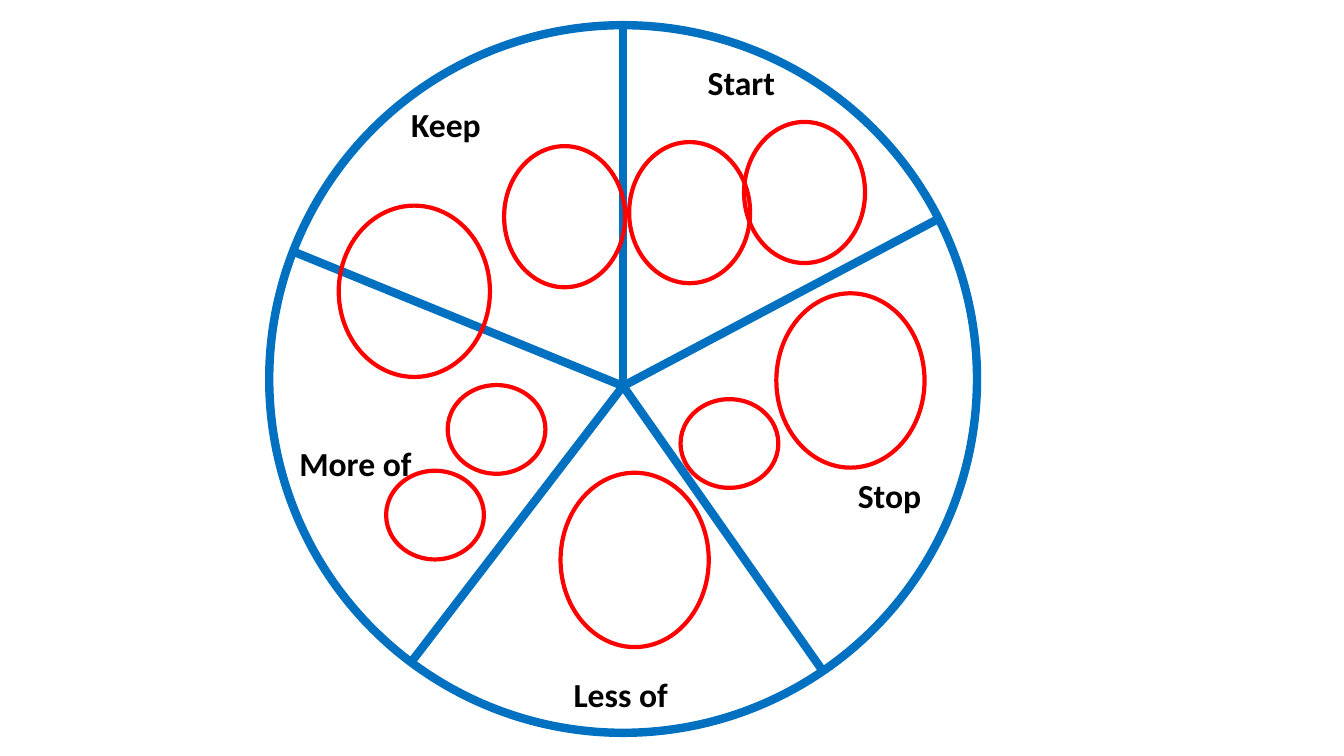
from lxml import etree
from pptx import Presentation
from pptx import util as u
from pptx.dml.color import RGBColor
from pptx.enum import shapes, text
from pptx.oxml.ns import qn

WHEEL = (2.67, 0.25, 7.02, 7.02)
HUB = (6.18, 3.83)
SPOKE_ENDS = [(6.18, 0.25), (9.31, 2.17), (8.17, 6.67), (4.07, 6.58), (2.92, 2.5)]
LABELS = [
    ("More of", 2.87, 4.34, 1.33),
    ("Start", 6.92, 0.57, 0.88),
    ("Stop", 8.41, 4.66, 0.84),
    ("Less of", 5.59, 6.64, 1.15),
    ("Keep", 3.98, 0.98, 0.9),
]
LABEL_HEIGHT = 0.5
BUBBLE_SIZES = {
    "small": (0.97, 0.88),
    "medium": (1.2, 1.4),
    "large": (1.47, 1.73),
    "wide": (1.5, 1.7),
}
BUBBLES = [
    ("medium", 5, 1.45),
    ("wide", 3.36, 2.04),
    ("small", 4.44, 3.82),
    ("small", 3.83, 4.67),
    ("large", 5.56, 4.69),
    ("small", 6.75, 3.96),
    ("large", 7.7, 2.91),
    ("medium", 6.24, 1.41),
    ("medium", 7.38, 1.21),
]
THEME = {
    "wheel": {"color": RGBColor(0x00, 0x70, 0xC0), "width": u.Pt(6)},
    "bubble": {"color": RGBColor(0xFF, 0x00, 0x00), "width": u.Pt(3)},
    "label_color": RGBColor(0, 0, 0),
    "label_font": {"name": "Calibri", "size": u.Pt(24), "bold": True},
}


def inches(*values):
    return [u.Inches(v) for v in values]


def style_line(sp, style):
    sp.line.color.rgb = style["color"]
    sp.line.width = style["width"]


def add_ring(s, box, style):
    sp = s.shapes.add_shape(shapes.MSO_SHAPE.OVAL, *inches(*box))
    sp.shadow.inherit = False
    sp.fill.background()
    style_line(sp, style)


def add_spoke(s, end):
    sp = s.shapes.add_connector(shapes.MSO_CONNECTOR.STRAIGHT, *inches(*end, *HUB))
    style_line(sp, THEME["wheel"])
    etree.SubElement(sp._element.spPr, qn("a:effectLst"))


def add_label(s, words, left, top, width):
    sp = s.shapes.add_textbox(*inches(left, top, width, LABEL_HEIGHT))
    tf = sp.text_frame
    tf.word_wrap = False
    tf.auto_size = text.MSO_AUTO_SIZE.SHAPE_TO_FIT_TEXT
    r = tf.paragraphs[0].add_run()
    r.text = words
    for key, value in THEME["label_font"].items():
        setattr(r.font, key, value)
    r.font.color.rgb = THEME["label_color"]


def main():
    prs = Presentation()
    prs.slide_width, prs.slide_height = inches(13.33, 7.5)
    s = prs.slides.add_slide(prs.slide_layouts[6])
    add_ring(s, WHEEL, THEME["wheel"])
    for end in SPOKE_ENDS:
        add_spoke(s, end)
    for label in LABELS:
        add_label(s, *label)
    for size, left, top in BUBBLES:
        add_ring(s, (left, top, *BUBBLE_SIZES[size]), THEME["bubble"])
    prs.save("out.pptx")


if __name__ == "__main__":
    main()
